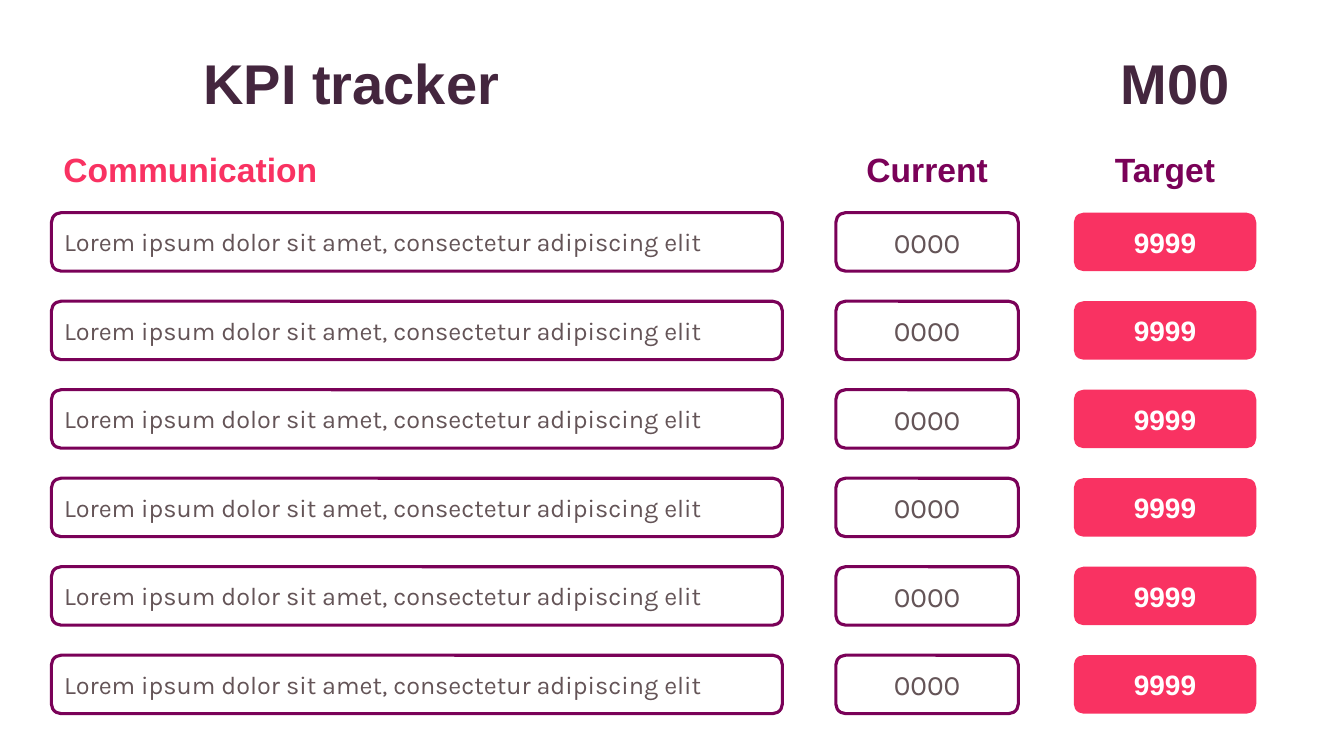
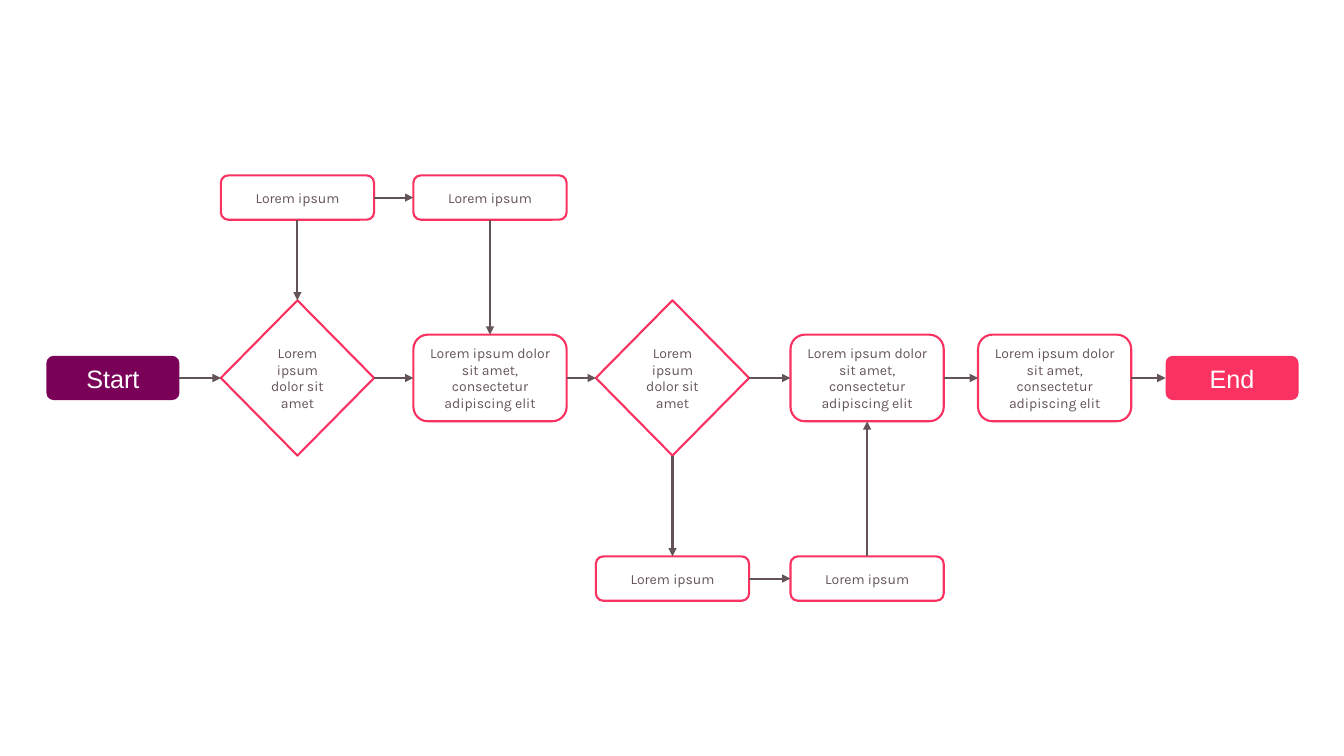
from dataclasses import dataclass

from lxml import etree
from pptx import Presentation
from pptx.dml.color import RGBColor
from pptx.enum import shapes, text
from pptx.oxml import ns
from pptx.util import Inches, Pt

# Shared colours and fonts
PLUM = RGBColor(0x7A, 0x01, 0x58)
PINK = RGBColor(0xF9, 0x32, 0x62)
DARK = RGBColor(0x44, 0x26, 0x3E)
GREY = RGBColor(0x64, 0x54, 0x57)
WHITE = RGBColor(0xFF, 0xFF, 0xFF)
HEADING_FONT, BODY_FONT = "Arial", "Karla"

LEFT, CENTER, RIGHT = text.PP_ALIGN.LEFT, text.PP_ALIGN.CENTER, text.PP_ALIGN.RIGHT
ROUNDED = shapes.MSO_SHAPE.ROUNDED_RECTANGLE
DIAMOND = shapes.MSO_SHAPE.DIAMOND
LOREM = "Lorem ipsum dolor sit amet, consectetur adipiscing elit"


@dataclass(frozen=True)
class TextStyle:
    size: float
    color: RGBColor = GREY
    font: str = BODY_FONT
    bold: bool = False
    align: int = CENTER


@dataclass(frozen=True)
class BoxStyle:
    text: TextStyle
    fill: RGBColor = WHITE
    line: RGBColor | None = None
    line_width: float = 1.5
    kind: int = ROUNDED


def write(shape, words: str, style: TextStyle) -> None:
    frame = shape.text_frame
    frame.word_wrap = True
    frame.text = words
    paragraph = frame.paragraphs[0]
    paragraph.alignment = style.align
    font = paragraph.runs[0].font
    font.name, font.size, font.bold = style.font, Pt(style.size), style.bold
    font.color.rgb = style.color


def add_label(slide, words: str, left: float, top: float, width: float,
              height: float, style: TextStyle) -> None:
    label = slide.shapes.add_textbox(
        Inches(left), Inches(top), Inches(width), Inches(height))
    write(label, words, style)


def add_box(slide, words: str, left: float, top: float, width: float,
            height: float, style: BoxStyle):
    box = slide.shapes.add_shape(
        style.kind, Inches(left), Inches(top), Inches(width), Inches(height))
    box.shadow.inherit = False
    box.fill.solid()
    box.fill.fore_color.rgb = style.fill
    if style.line is None:
        box.line.fill.background()
    else:
        box.line.color.rgb = style.line
        box.line.width = Pt(style.line_width)
    write(box, words, style.text)
    box.text_frame.vertical_anchor = text.MSO_ANCHOR.MIDDLE
    return box


# KPI tracker
TITLE = TextStyle(40, DARK, HEADING_FONT, True, LEFT)
PERIOD = TextStyle(40, DARK, HEADING_FONT, True, RIGHT)
ROW_COUNT, FIRST_ROW, LAST_ROW, ROW_HEIGHT = 6, 2.11, 6.5, 0.58


@dataclass(frozen=True)
class Column:
    heading: str
    heading_left: float
    heading_style: TextStyle
    value: str
    left: float
    width: float
    box: BoxStyle


COLUMNS = [
    Column("Communication", 0.53, TextStyle(24, PINK, HEADING_FONT, True, LEFT),
           LOREM, 0.51, 7.25, BoxStyle(TextStyle(18, align=LEFT), WHITE, PLUM, 2.25)),
    Column("Current", 8.29, TextStyle(24, PLUM, HEADING_FONT, True),
           "0000", 8.29, 1.81, BoxStyle(TextStyle(20), WHITE, PLUM, 2.25)),
    Column("Target", 10.65, TextStyle(24, PLUM, HEADING_FONT, True),
           "9999", 10.65, 1.81, BoxStyle(TextStyle(20, WHITE, HEADING_FONT, True), PINK)),
]


def build_tracker(slide) -> None:
    add_label(slide, "KPI tracker", 1.92, 0.43, 5.84, 0.77, TITLE)
    add_label(slide, "M00", 6.34, 0.43, 5.95, 0.77, PERIOD)
    pitch = (LAST_ROW - FIRST_ROW) / (ROW_COUNT - 1)
    for column in COLUMNS:
        add_label(slide, column.heading, column.heading_left, 1.43,
                  column.width, 0.5, column.heading_style)
        for row in range(ROW_COUNT):
            add_box(slide, column.value, column.left, FIRST_ROW + row * pitch,
                    column.width, ROW_HEIGHT, column.box)


# Flowchart
@dataclass(frozen=True)
class NodeType:
    words: str
    width: float
    height: float
    style: BoxStyle


@dataclass(frozen=True)
class Node:
    name: str
    type: NodeType
    left: float
    middle: float


TERMINAL_TEXT = TextStyle(18, WHITE, HEADING_FONT)
STEP_STYLE = BoxStyle(TextStyle(10), WHITE, PINK)
START = NodeType("Start", 1.32, 0.44, BoxStyle(TERMINAL_TEXT, PLUM))
END = NodeType("End", 1.32, 0.44, BoxStyle(TERMINAL_TEXT, PINK))
NOTE = NodeType("Lorem ipsum", 1.52, 0.44, STEP_STYLE)
STEP = NodeType(LOREM, 1.52, 0.86, STEP_STYLE)
DECISION = NodeType("Lorem ipsum dolor sit amet", 1.52, 1.54,
                    BoxStyle(TextStyle(10), WHITE, PINK, kind=DIAMOND))

UPPER, MAIN, LOWER = 1.96, 3.75, 5.74
NODES = [
    Node("start", START, 0.46, MAIN),
    Node("first decision", DECISION, 2.19, MAIN),
    Node("first step", STEP, 4.1, MAIN),
    Node("second decision", DECISION, 5.91, MAIN),
    Node("second step", STEP, 7.84, MAIN),
    Node("third step", STEP, 9.7, MAIN),
    Node("end", END, 11.56, MAIN),
    Node("upper left", NOTE, 2.19, UPPER),
    Node("upper right", NOTE, 4.1, UPPER),
    Node("lower left", NOTE, 5.91, LOWER),
    Node("lower right", NOTE, 7.84, LOWER),
]

# Connection sites: where an arrow leaves one node and enters the next
TOP_SITE, LEFT_SITE, BOTTOM_SITE, RIGHT_SITE = range(4)
ACROSS = (RIGHT_SITE, LEFT_SITE)
DOWN = (BOTTOM_SITE, TOP_SITE)
UP = (TOP_SITE, BOTTOM_SITE)
MAIN_PATH = [node.name for node in NODES if node.middle == MAIN]
ARROWS = [(source, target, ACROSS) for source, target in zip(MAIN_PATH, MAIN_PATH[1:])]
ARROWS += [
    ("upper left", "upper right", ACROSS),
    ("lower left", "lower right", ACROSS),
    ("upper left", "first decision", DOWN),
    ("upper right", "first step", DOWN),
    ("second decision", "lower left", DOWN),
    ("lower right", "second step", UP),
]


def add_arrow(slide, source, target, sites: tuple[int, int]) -> None:
    arrow = slide.shapes.add_connector(shapes.MSO_CONNECTOR.STRAIGHT, 0, 0, 0, 0)
    arrow.begin_connect(source, sites[0])
    arrow.end_connect(target, sites[1])
    arrow.line.color.rgb = GREY
    arrow.line.width = Pt(1.5)
    etree.SubElement(arrow.line._get_or_add_ln(), ns.qn("a:tailEnd"), type="triangle")
    etree.SubElement(arrow._element.spPr, ns.qn("a:effectLst"))


def build_flowchart(slide) -> None:
    boxes = {}
    for node in NODES:
        kind = node.type
        boxes[node.name] = add_box(slide, kind.words, node.left,
                                   node.middle - kind.height / 2,
                                   kind.width, kind.height, kind.style)
    for source, target, sites in ARROWS:
        add_arrow(slide, boxes[source], boxes[target], sites)


def main() -> None:
    presentation = Presentation()
    presentation.slide_width = Inches(13.33)
    presentation.slide_height = Inches(7.5)
    blank = presentation.slide_layouts[6]
    for build in (build_tracker, build_flowchart):
        build(presentation.slides.add_slide(blank))
    presentation.save("out.pptx")


if __name__ == "__main__":
    main()
